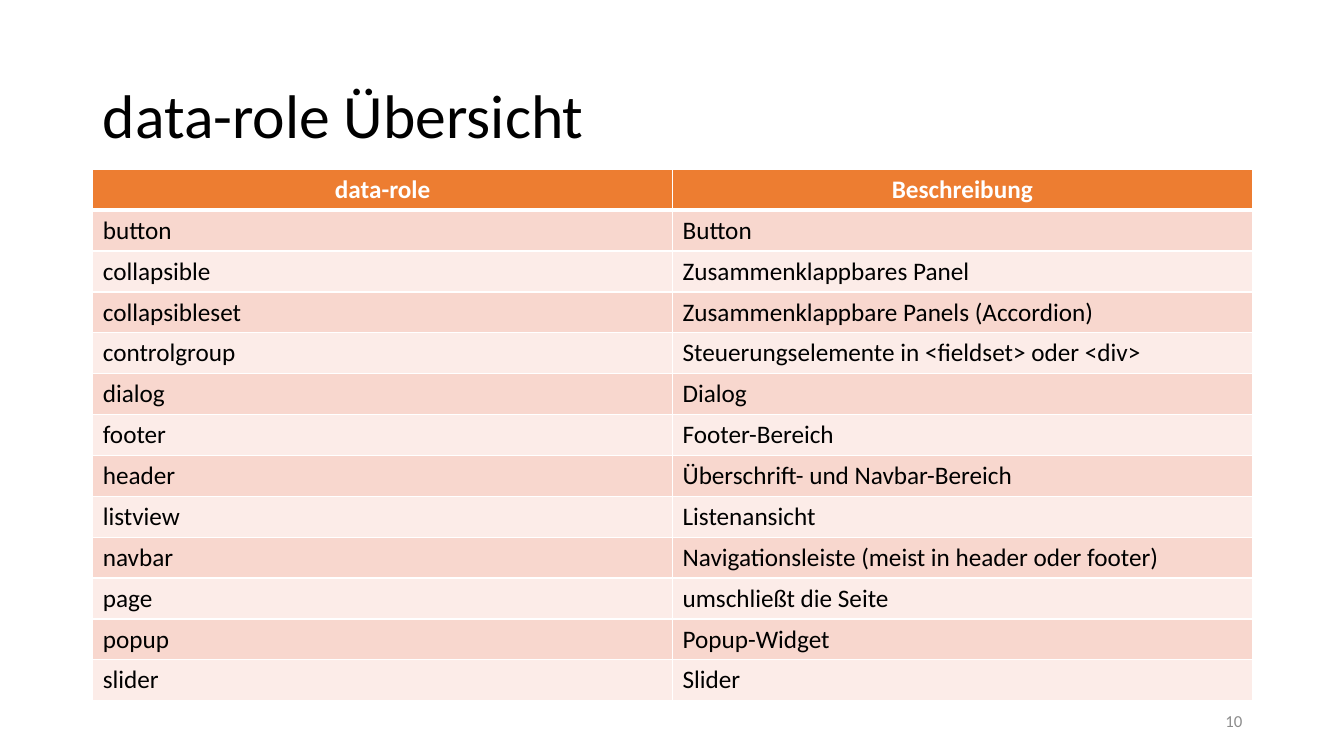
import pptx
import pptx.dml.color
import pptx.enum.text
import pptx.oxml
import pptx.oxml.ns
import pptx.util

RGBColor = pptx.dml.color.RGBColor
Align = pptx.enum.text.PP_ALIGN
Anchor = pptx.enum.text.MSO_ANCHOR

BLACK = RGBColor(0x00, 0x00, 0x00)
WHITE = RGBColor(0xFF, 0xFF, 0xFF)
GREY = RGBColor(0x8C, 0x8C, 0x8C)
ORANGE = RGBColor(0xED, 0x7D, 0x31)
DARK_BAND = RGBColor(0xF8, 0xD7, 0xCE)
LIGHT_BAND = RGBColor(0xFC, 0xEC, 0xE8)

FONT = "Calibri"
SLIDE_WIDTH = 13.33
SLIDE_HEIGHT = 7.5
MARGIN = 0.92
CONTENT_WIDTH = 11.5
THIN, THICK = 1, 3

HEADINGS = ("data-role", "Beschreibung")
ROLES = (
    ("button", "Button"),
    ("collapsible", "Zusammenklappbares Panel"),
    ("collapsibleset", "Zusammenklappbare Panels (Accordion)"),
    ("controlgroup", "Steuerungselemente in <fieldset> oder <div>"),
    ("dialog", "Dialog"),
    ("footer", "Footer-Bereich"),
    ("header", "Überschrift- und Navbar-Bereich"),
    ("listview", "Listenansicht"),
    ("navbar", "Navigationsleiste (meist in header oder footer)"),
    ("page", "umschließt die Seite"),
    ("popup", "Popup-Widget"),
    ("slider", "Slider"),
)


def to_lengths(box):
    return [pptx.util.Inches(value) for value in box]


def write_text(frame, text, size=18, color=BLACK, bold=False, align=Align.LEFT,
               line_spacing=None):
    frame.word_wrap = True
    paragraph = frame.paragraphs[0]
    paragraph.alignment = align
    paragraph.line_spacing = line_spacing
    run = paragraph.add_run()
    run.text = text
    run.font.name = FONT
    run.font.size = pptx.util.Pt(size)
    run.font.bold = bold
    run.font.color.rgb = color


def set_borders(cell, top=THIN, bottom=THIN):
    """Draw white lines on all four sides, widths in points."""
    properties = cell._tc.get_or_add_tcPr()
    widths = {"lnL": THIN, "lnR": THIN, "lnT": top, "lnB": bottom}
    for position, (side, width) in enumerate(widths.items()):
        line = pptx.oxml.parse_xml(
            f'<a:{side} {pptx.oxml.ns.nsdecls("a")} w="{pptx.util.Pt(width)}">'
            f'<a:solidFill><a:srgbClr val="{WHITE}"/></a:solidFill></a:{side}>')
        properties.insert(position, line)


def add_title(slide, box, text):
    title = slide.shapes.title
    title.left, title.top, title.width, title.height = to_lengths(box)
    title.text_frame.vertical_anchor = Anchor.MIDDLE
    write_text(title.text_frame, text, size=44, line_spacing=0.9)


def add_role_table(slide, box):
    rows = (HEADINGS, *ROLES)
    table = slide.shapes.add_table(len(rows), len(HEADINGS), *to_lengths(box)).table
    for row_index, texts in enumerate(rows):
        is_heading = row_index == 0
        band = DARK_BAND if row_index % 2 else LIGHT_BAND
        for column_index, text in enumerate(texts):
            cell = table.cell(row_index, column_index)
            cell.vertical_anchor = Anchor.MIDDLE
            cell.fill.solid()
            cell.fill.fore_color.rgb = ORANGE if is_heading else band
            write_text(cell.text_frame, text, bold=is_heading,
                       color=WHITE if is_heading else BLACK,
                       align=Align.CENTER if is_heading else Align.LEFT)
            set_borders(cell, top=THICK if row_index == 1 else THIN,
                        bottom=THICK if is_heading else THIN)


def add_page_number(slide, box, text):
    frame = slide.shapes.add_textbox(*to_lengths(box)).text_frame
    frame.vertical_anchor = Anchor.MIDDLE
    write_text(frame, text, size=12, color=GREY, align=Align.RIGHT)


def main():
    presentation = pptx.Presentation()
    presentation.slide_width = pptx.util.Inches(SLIDE_WIDTH)
    presentation.slide_height = pptx.util.Inches(SLIDE_HEIGHT)
    slide = presentation.slides.add_slide(presentation.slide_layouts[5])

    table_top, table_height = 1.68, 5.27
    number_width = 3
    add_title(slide, (MARGIN, 0.5, CONTENT_WIDTH, 1.35), "data-role Übersicht")
    add_role_table(slide, (MARGIN, table_top, CONTENT_WIDTH, table_height))
    add_page_number(slide, (MARGIN + CONTENT_WIDTH - number_width,
                            table_top + table_height, number_width, 0.4), "10")
    presentation.save("out.pptx")


if __name__ == "__main__":
    main()
